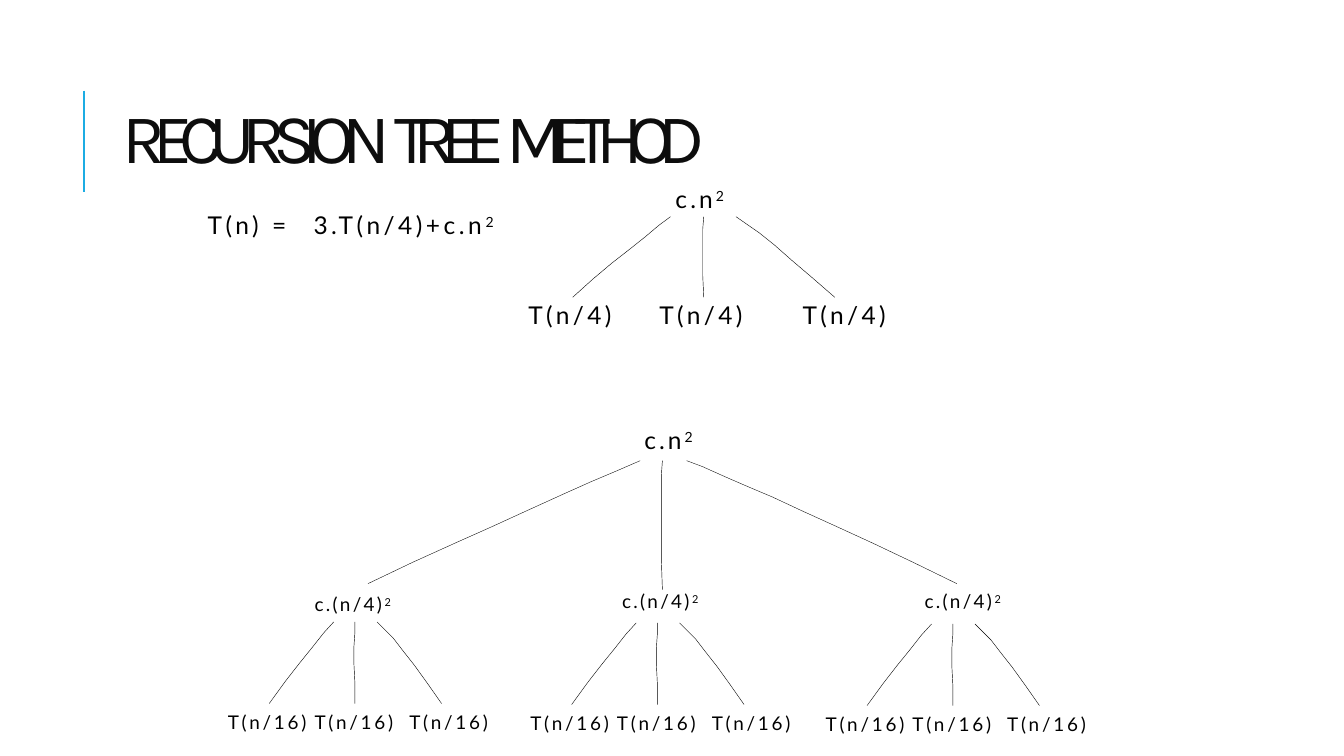
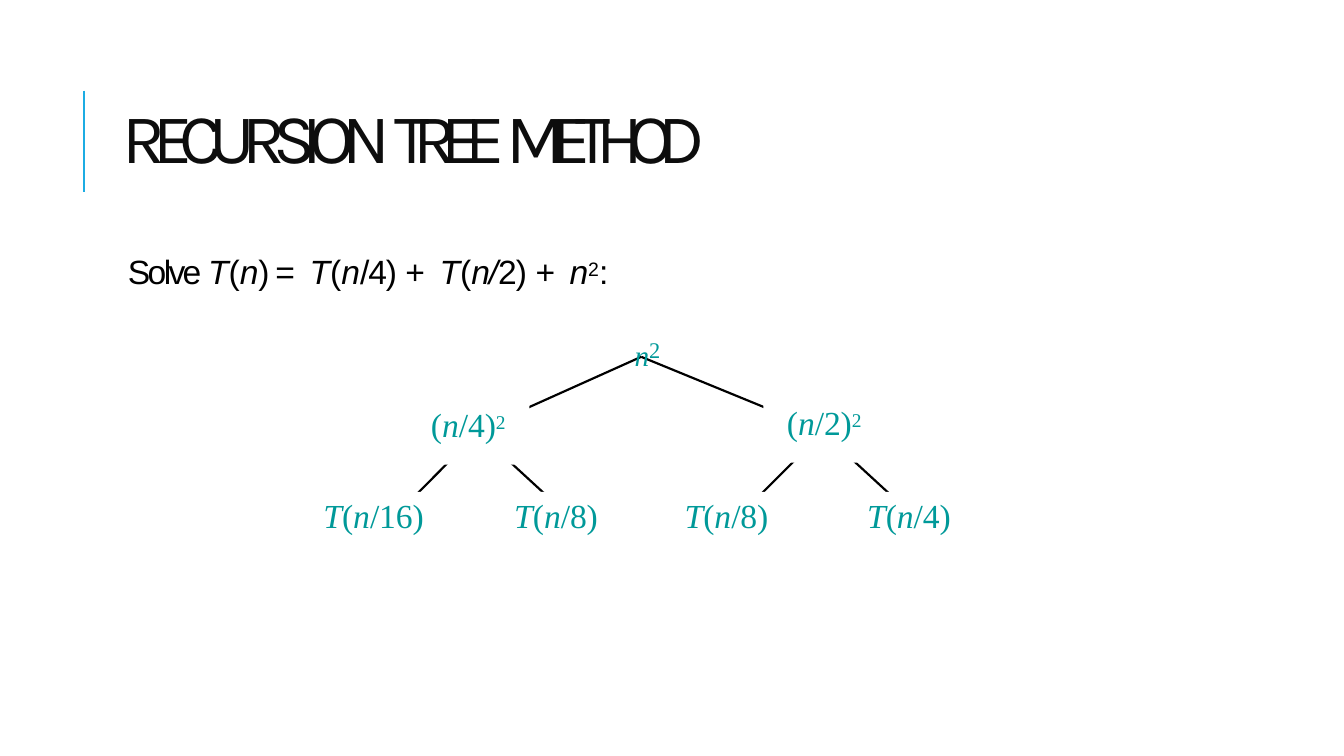
"""Build two slides that unfold recurrences with the recursion tree method."""
from dataclasses import dataclass
from typing import Optional, Sequence

import pptx
import pptx.dml.color
import pptx.enum.shapes
import pptx.enum.text
import pptx.oxml
import pptx.oxml.ns
import pptx.presentation
import pptx.shapes.autoshape
import pptx.shapes.connector
import pptx.slide
import pptx.text.text
import pptx.util

PX = 9144
RGBColor = pptx.dml.color.RGBColor
BLACK = RGBColor(0x00, 0x00, 0x00)
WHITE = RGBColor(0xFF, 0xFF, 0xFF)
INK = RGBColor(0x0D, 0x0D, 0x0D)
BLUE = RGBColor(0x1C, 0xAC, 0xE3)
TEAL = RGBColor(0x00, 0x99, 0x99)
LEFT = pptx.enum.text.PP_ALIGN.LEFT
CENTER = pptx.enum.text.PP_ALIGN.CENTER
RIGHT = pptx.enum.text.PP_ALIGN.RIGHT

Point = tuple[int, int]


@dataclass(frozen=True)
class Style:
    font: str
    size: float
    color: RGBColor


@dataclass(frozen=True)
class Span:
    text: str
    spacing: float = 0
    italic: bool = False
    baseline: int = 0
    size: Optional[float] = None


@dataclass(frozen=True)
class Label:
    left: int
    top: int
    width: int
    height: int
    spans: Sequence[Span]
    inset: int = 1


@dataclass(frozen=True)
class Curve:
    points: Sequence[Point]
    weight: float


@dataclass(frozen=True)
class Edge:
    start: Point
    end: Point


@dataclass(frozen=True)
class Node:
    left: int
    top: int
    width: int
    spans: Sequence[Span]


TITLE = Style("Karla", 50, INK)
LARGE = Style("Lato", 17.5, BLACK)
SMALL = Style("Lato", 13.5, BLACK)
PROBLEM = Style("Arial", 24, BLACK)
ROOT = Style("Times New Roman", 36, TEAL)
NODE = Style("Times New Roman", 24, TEAL)

TITLE_SPANS = (Span("RECURSION ", -9.1), Span("TREE ", -10.8), Span("METHOD", -10.6))
COST = (Span("c.n", 2.2), Span("2", 3.4, baseline=29, size=17.2))
QUARTER_COST = (Span("c.(n/4)", 1.7), Span("2", 2.5, baseline=28))
QUARTER = (Span("T(n/4)", 2.4),)
SIXTEENTH = (Span("T(n/16)", 2),)
RECURRENCE = (
    Span("T(n) ", 2.5), Span("=\t", 2.8), Span("3.T(n/4)+c.n", 2.5),
    Span("2", 3.7, baseline=29, size=17.2),
)

LARGE_LABELS = (
    Label(203, 206, 299, 32, RECURRENCE, 3),
    Label(666, 181, 64, 32, COST, 4),
    Label(635, 420, 64, 32, COST, 4),
    *(Label(left, 296, 89, 32, QUARTER) for left in (523, 653, 795)),
)
SMALL_LABELS = tuple(
    Label(left, top, 89, 26, QUARTER_COST, 4)
    for left, top in ((308, 586), (613, 583), (913, 583))
)
TREE_CURVES = (
    Curve(((665, 215), (653, 224), (640, 235), (625, 247), (607, 261), (588, 277), (568, 295)), 0.27),
    Curve(((698, 215), (697, 227), (697, 240), (697, 256), (697, 274), (698, 295)), 0.31),
    Curve(((730, 215), (740, 222), (753, 231), (768, 243), (785, 258), (805, 275), (828, 295)), 0.27),
    Curve(((635, 457), (612, 467), (586, 478), (557, 491), (524, 506), (489, 522),
           (451, 539), (409, 558), (365, 579)), 0.25),
    Curve(((657, 457), (656, 471), (656, 489), (656, 509), (656, 532), (656, 557), (657, 585)), 0.31),
    Curve(((681, 457), (697, 463), (717, 472), (740, 482), (766, 493), (796, 507),
           (829, 522), (866, 539), (906, 558), (949, 579)), 0.25),
)
FAN_CURVES = (
    Curve(((106, 0), (96, 11), (85, 25), (72, 41), (58, 59), (42, 81)), 0.28),
    Curve(((127, 0), (127, 11), (126, 25), (126, 41), (127, 60), (127, 81)), 0.31),
    Curve(((149, 0), (156, 7), (165, 16), (175, 29), (186, 43), (199, 61), (213, 81)), 0.28),
)
FAN_ORIGINS = ((225, 617), (525, 618), (818, 619))
FAN_LEAVES = (0, 86, 180)
LEAF_DROP = 86

SOLVE = (
    Span("Solve ", -1.9), Span("T", -2.6, True), Span("(", -2.6), Span("n", -2.6, True),
    Span(") ", -2.6), Span("= ", 1.9),
    Span("T", -0.8, True), Span("(", -0.8), Span("n", -0.8, True), Span("/4) ", -0.8),
    Span("+ ", 1.9),
    Span("T", -0.8, True), Span("(", -0.8), Span("n/", -0.8, True), Span("2) ", -0.8),
    Span("+ ", 1.9, True), Span("n", -0.2, True), Span("2", -0.4, baseline=24), Span(":", -0.2),
)
ROOT_COST = (Span("n", -0.4, True, -16), Span("2", -0.2, size=16))
EDGES = (
    Edge((636, 354), (469, 429)), Edge((636, 354), (819, 429)),
    Edge((474, 429), (383, 521)), Edge((474, 429), (574, 521)),
    Edge((816, 429), (724, 521)), Edge((816, 429), (916, 521)),
)


def square(divisor: int) -> Sequence[Span]:
    """Return the spans of a squared fraction of n."""
    return (Span("(", -0.1), Span("n", -0.1, True), Span(f"/{divisor})", -0.1),
            Span("2", -0.1, baseline=24))


def call(divisor: int) -> Sequence[Span]:
    """Return the spans of T applied to a fraction of n."""
    return (Span("T", -0.1, True), Span("(", -0.1), Span("n", -0.1, True),
            Span(f"/{divisor})", -0.1))


NODES = (
    Node(404, 398, 121, square(4)), Node(757, 396, 121, square(2)),
    Node(294, 488, 153, call(16)), Node(486, 488, 131, call(8)),
    Node(655, 488, 131, call(8)), Node(836, 488, 131, call(4)),
)


def px(length: int) -> pptx.util.Emu:
    """Turn px into EMU."""
    return pptx.util.Emu(length * PX)


def write(para: pptx.text.text._Paragraph, spans: Sequence[Span], style: Style) -> None:
    """Fill a paragraph with formatted spans."""
    for span in spans:
        run = para.add_run()
        run.text = span.text
        run.font.name = style.font
        run.font.size = pptx.util.Pt(span.size or style.size)
        run.font.color.rgb = style.color
        run.font.italic = span.italic
        properties = run._r.get_or_add_rPr()
        properties.set("spc", str(round(span.spacing * 100)))
        if span.baseline:
            properties.set("baseline", str(span.baseline * 1000))


def set_frame(frame: pptx.text.text.TextFrame, left: int = 0, top: int = 0) -> None:
    """Give a text frame its insets, wrapping and top anchor."""
    frame.word_wrap = True
    frame.auto_size = pptx.enum.text.MSO_AUTO_SIZE.NONE
    frame.vertical_anchor = pptx.enum.text.MSO_ANCHOR.TOP
    frame.margin_left, frame.margin_top = px(left), px(top)
    frame.margin_right = frame.margin_bottom = 0


def add_label(page: pptx.slide.Slide, label: Label, style: Style,
              top_inset: int = 2) -> pptx.text.text.TextFrame:
    """Add a text box and return its frame."""
    box = page.shapes.add_textbox(px(label.left), px(label.top), px(label.width), px(label.height))
    set_frame(box.text_frame, label.inset, top_inset)
    write(box.text_frame.paragraphs[0], label.spans, style)
    return box.text_frame


def add_line(page: pptx.slide.Slide, edge: Edge, color: RGBColor) -> pptx.shapes.connector.Connector:
    """Add a straight line without a shadow."""
    line = page.shapes.add_connector(
        pptx.enum.shapes.MSO_CONNECTOR.STRAIGHT, *map(px, edge.start + edge.end))
    line.line.color.rgb = color
    line.line.width = pptx.util.Pt(1.56)
    line.element.spPr.append(pptx.oxml.parse_xml(
        f"<a:effectLst {pptx.oxml.ns.nsdecls('a')}/>"))
    return line


def add_curve(page: pptx.slide.Slide, curve: Curve, origin: Point = (0, 0)) -> None:
    """Add an open, unfilled branch of a tree."""
    start, *rest = [(origin[0] + x, origin[1] + y) for x, y in curve.points]
    builder = page.shapes.build_freeform(*start, scale=float(PX))
    builder.add_line_segments(rest, close=False)
    branch = builder.convert_to_shape()
    branch.shadow.inherit = False
    branch.fill.background()
    branch.line.color.rgb = BLACK
    branch.line.width = pptx.util.Pt(curve.weight)


def add_node(page: pptx.slide.Slide, node: Node) -> None:
    """Add a white tree node with centred text."""
    box = page.shapes.add_shape(
        pptx.enum.shapes.MSO_SHAPE.RECTANGLE, px(node.left), px(node.top), px(node.width), px(63))
    box.shadow.inherit = False
    box.fill.solid()
    box.fill.fore_color.rgb = WHITE
    box.line.fill.background()
    set_frame(box.text_frame, top=3)
    para = box.text_frame.paragraphs[0]
    para.alignment = CENTER
    write(para, node.spans, NODE)


def add_page(deck: pptx.presentation.Presentation) -> pptx.slide.Slide:
    """Add a title-only slide with the shared title."""
    page = deck.slides.add_slide(deck.slide_layouts[5])
    title = page.shapes.title
    title.left, title.top, title.width, title.height = map(px, (121, 92, 892, 86))
    set_frame(title.text_frame, 1, 1)
    para = title.text_frame.paragraphs[0]
    para.alignment = LEFT
    write(para, TITLE_SPANS, TITLE)
    return page


def add_layout_bar(page: pptx.slide.Slide) -> None:
    """Put the blue bar beside the title on the shared layout."""
    bar = add_line(page, Edge((83, 90), (83, 190)), BLUE)
    bar.element.nvCxnSpPr.cNvPr.set("id", "20")
    page.slide_layout.shapes.element.append(bar.element)


def draw_three_way_tree(page: pptx.slide.Slide) -> None:
    """Draw the recurrence with three equal branches."""
    for curve in TREE_CURVES:
        add_curve(page, curve)
    for label in LARGE_LABELS:
        frame = add_label(page, label, LARGE)
        if label.spans is RECURRENCE:
            frame.paragraphs[0]._p.get_or_add_pPr().append(pptx.oxml.parse_xml(
                f"<a:tabLst {pptx.oxml.ns.nsdecls('a')}>"
                f'<a:tab pos="{px(105)}" algn="l"/></a:tabLst>'))
    for label in SMALL_LABELS:
        add_label(page, label, SMALL)
    for left, top in FAN_ORIGINS:
        for curve in FAN_CURVES:
            add_curve(page, curve, (left, top))
        for offset in FAN_LEAVES:
            add_label(page, Label(left + offset, top + LEAF_DROP, 90, 26, SIXTEENTH), SMALL)


def draw_uneven_tree(page: pptx.slide.Slide) -> None:
    """Draw the recurrence with a quarter and a half branch."""
    for edge in EDGES:
        add_line(page, edge, BLACK)
    frame = add_label(page, Label(121, 231, 534, 117, SOLVE, 6), PROBLEM, 18)
    root = frame.add_paragraph()
    root.alignment = RIGHT
    root.space_before = pptx.util.Pt(12.3)
    write(root, ROOT_COST, ROOT)
    for node in NODES:
        add_node(page, node)


def main() -> None:
    """Build and save the deck."""
    deck = pptx.Presentation()
    deck.slide_width, deck.slide_height = px(1333), px(750)
    first = add_page(deck)
    add_layout_bar(first)
    draw_three_way_tree(first)
    draw_uneven_tree(add_page(deck))
    deck.save("out.pptx")


if __name__ == "__main__":
    main()
